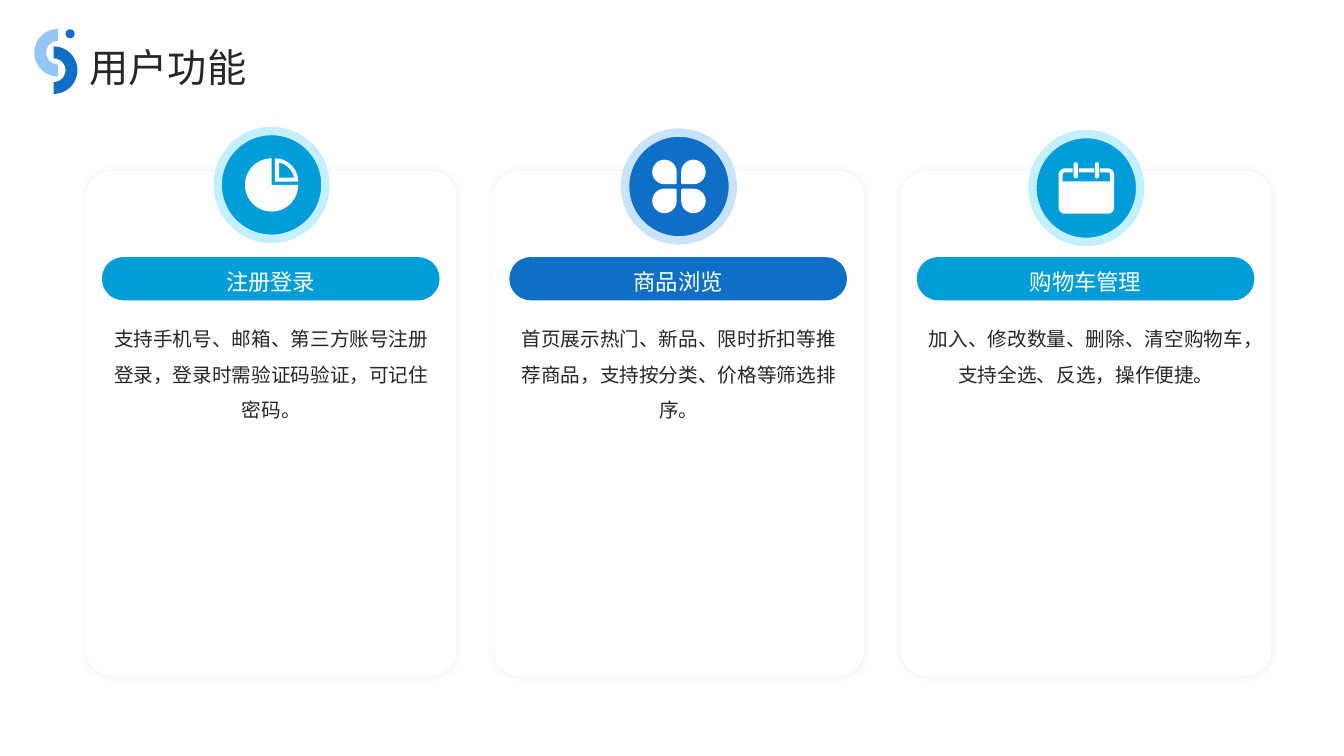
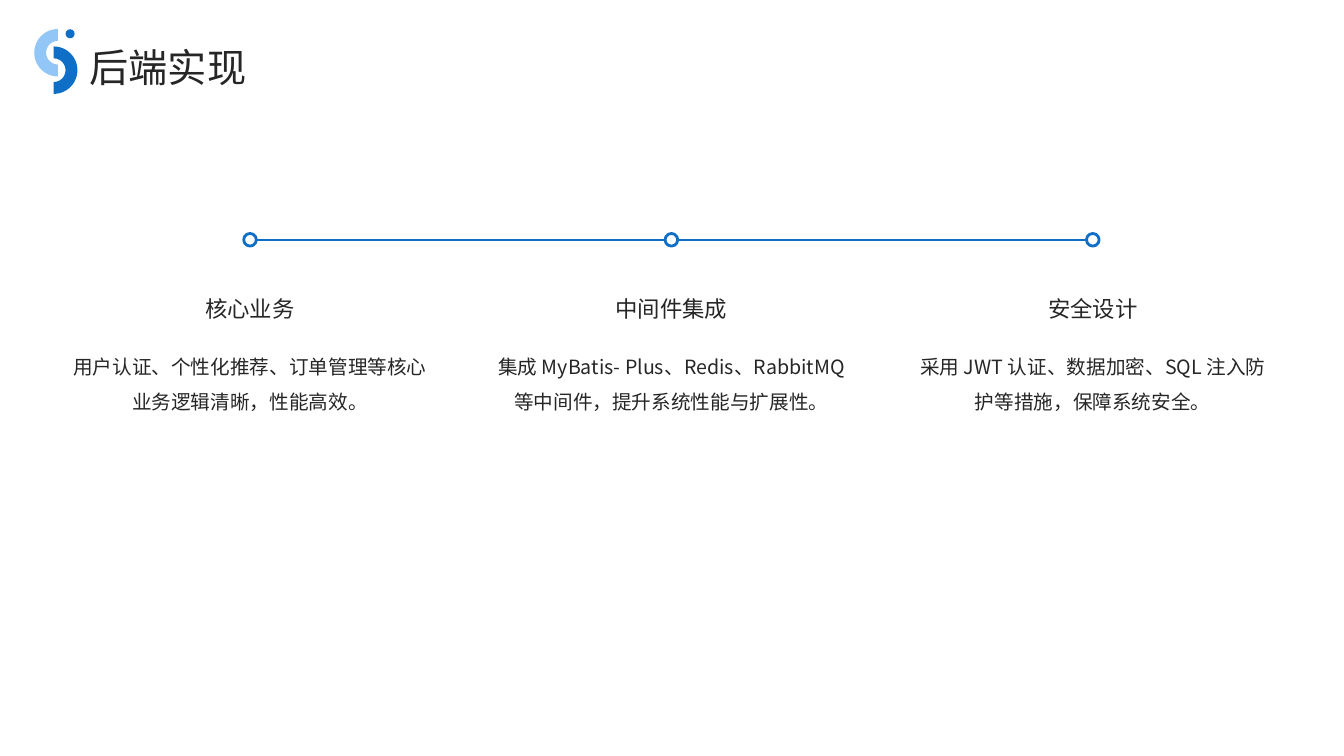
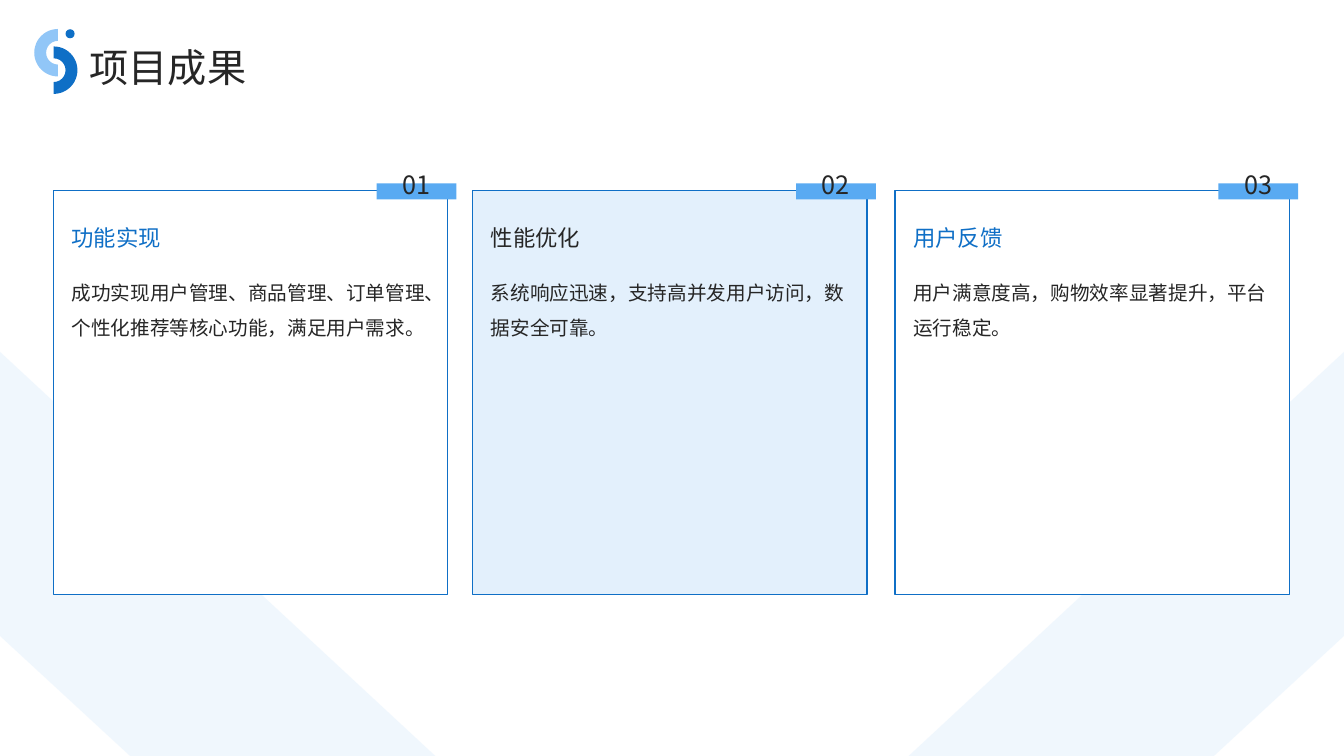
from dataclasses import dataclass
from math import cos, radians, sin

from lxml.etree import SubElement
from pptx import Presentation
from pptx.dml.color import RGBColor
from pptx.enum.shapes import MSO_CONNECTOR, MSO_SHAPE as Kind
from pptx.enum.text import MSO_ANCHOR as Anchor, PP_ALIGN as Align
from pptx.oxml.ns import qn
from pptx.util import Pt


@dataclass(frozen=True)
class Theme:
    font: str = "Noto Sans CJK SC"
    ink: str = "262626"
    white: str = "FFFFFF"
    blue: str = "0F6FC6"
    cyan: str = "009DD9"
    sky: str = "91C6F7"
    tab: str = "59AAF2"
    pale: str = "C8E3FB"
    ice: str = "C4EFFF"
    shade: str = "D9D9D9"
    title: int = 28
    number: int = 18
    head: int = 16
    body: int = 14


T = Theme()
WIDE, HIGH = 960, 540


def arc(cx, cy, r, start, end, step=6):
    count = max(1, round(abs(end - start) / step))
    turns = [radians(start + (end - start) * i / count) for i in range(count + 1)]
    return [(cx + r * cos(a), cy + r * sin(a)) for a in turns]


def round_box(x, y, w, h, radii):
    points = []
    for i, r in enumerate(radii):
        cx = x + w - r if i in (1, 2) else x + r
        cy = y + h - r if i > 1 else y + r
        points += arc(cx, cy, r, 180 + 90 * i, 270 + 90 * i, 15) if r else [(cx, cy)]
    return points


def petals(size=17.5, gap=1.6):
    leaves = []
    for i, (sx, sy) in enumerate([(-1, -1), (1, -1), (1, 1), (-1, 1)]):
        radii = [size / 2] * 4
        radii[(i + 2) % 4] = 1.2
        x, y = (gap if s > 0 else -gap - size for s in (sx, sy))
        leaves.append(round_box(x, y, size, size, radii))
    return leaves


def calendar():
    parts = [
        round_box(-19.8, -14, 39.6, 32.4, [4.5] * 4),
        round_box(-16.9, -11.2, 33.8, 6.5, [1.6, 1.6, 0, 0]),
    ]
    for mid in (-7.6, 7.6):
        parts.append(round_box(mid - 2.2, -14, 4.4, 2.8, [0] * 4))
        parts.append(round_box(mid - 1.5, -18.4, 3, 11.5, [1.5] * 4))
    return parts


PIE = [
    [(0, 0)] + arc(0, 0, 19, 0, 270),
    [(2.4, -2.4)] + arc(2.4, -2.4, 16.6, -90, 0),
    [(5.3, -5.3)] + arc(2.4, -2.4, 13.9, -78, -12),
]

USER = ("用户功能", [
    ("注册登录", "支持手机号、邮箱、第三方账号注册登录，登录时需验证码验证，可记住密码。", T.cyan, T.ice, PIE),
    ("商品浏览", "首页展示热门、新品、限时折扣等推荐商品，支持按分类、价格等筛选排序。", T.blue, T.pale, petals()),
    ("购物车管理", "加入、修改数量、删除、清空购物车，支持全选、反选，操作便捷。", T.cyan, T.ice, calendar()),
])
SERVER = ("后端实现", [
    ("核心业务", "用户认证、个性化推荐、订单管理等核心业务逻辑清晰，性能高效。"),
    ("中间件集成", "集成 MyBatis- Plus、Redis、RabbitMQ 等中间件，提升系统性能与扩展性。"),
    ("安全设计", "采用 JWT 认证、数据加密、SQL 注入防护等措施，保障系统安全。"),
])
RESULT = ("项目成果", [
    (38.2, "功能实现", "成功实现用户管理、商品管理、订单管理、个性化推荐等核心功能，满足用户需求。", T.blue, T.white, None),
    (337.7, "性能优化", "系统响应迅速，支持高并发用户访问，数据安全可靠。", T.ink, T.pale, 50),
    (639.4, "用户反馈", "用户满意度高，购物效率显著提升，平台运行稳定。", T.blue, T.white, None),
])
BAND = [(0, 251.3), (311, 540), (92.9, 540), (0, 454.3)]


def rgb(code):
    return RGBColor.from_string(code)


def paint(shape, fill, line=None, width=0, alpha=None):
    shape.shadow.inherit = False
    shape.fill.solid()
    shape.fill.fore_color.rgb = rgb(fill)
    if alpha:
        color = shape.fill._xPr.find(qn("a:solidFill"))[0]
        SubElement(color, qn("a:alpha"), val=str(alpha * 1000))
    if line:
        shape.line.color.rgb = rgb(line)
        shape.line.width = Pt(width)
    else:
        shape.line.fill.background()
    return shape


def draw(slide, kind, x, y, w, h, fill, **style):
    shape = slide.shapes.add_shape(kind, Pt(x), Pt(y), Pt(w), Pt(h))
    return paint(shape, fill, **style)


def outline(slide, loops, fill, dx=0, dy=0, alpha=None):
    loops = [[(Pt(x + dx), Pt(y + dy)) for x, y in loop] for loop in loops]
    pen = slide.shapes.build_freeform(*loops[0][0], scale=1.0)
    for i, loop in enumerate(loops):
        if i:
            pen.move_to(*loop[0])
        pen.add_line_segments(loop[1:], close=True)
    return paint(pen.convert_to_shape(), fill, alpha=alpha)


def write(shape, text, size, color=T.ink, space=1.5, align=Align.LEFT, anchor=Anchor.TOP, inset=True):
    frame = shape.text_frame
    frame.word_wrap = True
    frame.vertical_anchor = anchor
    if not inset:
        frame.margin_left = frame.margin_right = 0
        frame.margin_top = frame.margin_bottom = 0
    para = frame.paragraphs[0]
    para.text = text
    para.alignment = align
    para.line_spacing = space
    font = para.font
    font.size, font.name = Pt(size), T.font
    font.color.rgb = rgb(color)
    SubElement(font._element, qn("a:ea"), typeface=T.font)


def label(slide, x, y, w, h, text, size, **style):
    write(slide.shapes.add_textbox(Pt(x), Pt(y), Pt(w), Pt(h)), text, size, **style)


def glow(shape):
    effects = shape._element.spPr.find(qn("a:effectLst"))
    cast = SubElement(effects, qn("a:outerShdw"), blurRad=str(Pt(5)), dist="0", dir="0", algn="ctr", rotWithShape="0")
    color = SubElement(cast, qn("a:srgbClr"), val=T.shade)
    SubElement(color, qn("a:alpha"), val="40000")


def header(slide, title):
    label(slide, 64.1, 20.9, 817, 42.5, title, T.title, space=1.3, inset=False)
    for x, y, turn, fill in [(24.5, 20.7, 270, T.sky), (21.4, 33.2, 90, T.blue)]:
        draw(slide, Kind.BLOCK_ARC, x, y, 33.9, 33.9, fill).rotation = turn
    draw(slide, Kind.OVAL, 46.8, 20.9, 6.5, 6.5, T.blue)


def user(slide, cards):
    for i, (head, body, fill, ring, icon) in enumerate(cards):
        x, top = 61.2 + 291 * i, 93.6 + 1.1 * i
        card = draw(slide, Kind.ROUNDED_RECTANGLE, x, 122, 265, 360.7, T.white)
        card.adjustments[0] = 0.07
        glow(card)
        label(slide, x + 15.6, 225.4, 234, 242.6, body, T.body, align=Align.CENTER, inset=False)
        pill = draw(slide, Kind.ROUNDED_RECTANGLE, x + 11.6, 183.6, 241.2, 31, fill)
        pill.adjustments[0] = 0.5
        write(pill, head, T.head, T.white, 1.2, Align.CENTER, Anchor.MIDDLE)
        draw(slide, Kind.OVAL, x + 94.3, top, 77, 77, fill, line=ring, width=6)
        outline(slide, icon, T.white, x + 132.8, top + 38.5)


def server(slide, steps):
    first, pitch, mid, wide, dot = 178.6, 301, 171.3, 253.4, 9
    last = first + pitch * (len(steps) - 1)
    rail = slide.shapes.add_connector(MSO_CONNECTOR.STRAIGHT, Pt(first), Pt(mid), Pt(last), Pt(mid))
    rail.line.color.rgb = rgb(T.blue)
    rail.line.width = Pt(1)
    SubElement(rail._element.spPr, qn("a:effectLst"))
    for i, (head, body) in enumerate(steps):
        x = first + pitch * i
        left = x - wide / 2
        draw(slide, Kind.OVAL, x - dot / 2, mid - dot / 2, dot, dot, T.white, line=T.blue, width=2)
        label(slide, left, 192.2, wide, 51.1, head, T.head, space=1.3,
              align=Align.CENTER, anchor=Anchor.MIDDLE, inset=False)
        label(slide, left, 244.8, wide, 160.6, body, T.body, align=Align.CENTER, inset=False)


def result(slide, cards):
    outline(slide, [BAND, [(WIDE - x, y) for x, y in BAND]], T.sky, alpha=13)
    for i, (x, head, body, color, fill, alpha) in enumerate(cards, 1):
        draw(slide, Kind.RECTANGLE, x, 136, 281.5, 288.7, fill, line=T.blue, width=1, alpha=alpha)
        label(slide, x + 5.8, 146.2, 270.7, 41.8, head, T.head, color=color, space=1.3, anchor=Anchor.MIDDLE)
        label(slide, x + 5.8, 188.6, 270.7, 229, body, T.body)
        draw(slide, Kind.RECTANGLE, x + 230.9, 131, 57, 11.5, T.tab)
        label(slide, x + 233.9, 115.2, 51, 28.8, f"{i:02}", T.number, space=1.1, align=Align.CENTER)


def main():
    deck = Presentation()
    deck.slide_width, deck.slide_height = Pt(WIDE), Pt(HIGH)
    for (title, items), build in [(USER, user), (SERVER, server), (RESULT, result)]:
        slide = deck.slides.add_slide(deck.slide_layouts[6])
        build(slide, items)
        header(slide, title)
    deck.save("out.pptx")


if __name__ == "__main__":
    main()
